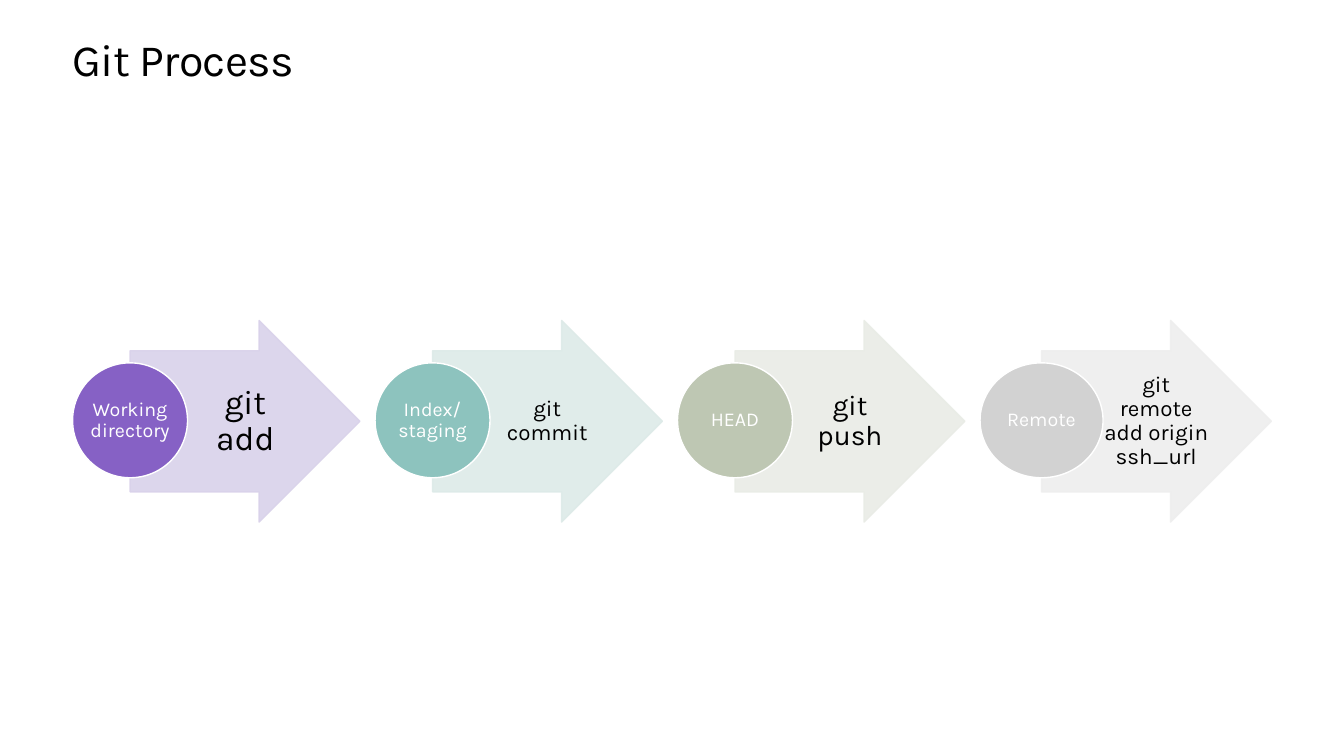
import pptx
import pptx.util
import pptx.dml.color
import pptx.enum.shapes
import pptx.enum.text
import pptx.oxml.ns
from lxml import etree

Inches = pptx.util.Inches
Pt = pptx.util.Pt
RGBColor = pptx.dml.color.RGBColor
SHAPE = pptx.enum.shapes.MSO_SHAPE
ALIGN = pptx.enum.text.PP_ALIGN
ANCHOR = pptx.enum.text.MSO_ANCHOR
qn = pptx.oxml.ns.qn

FONT = "Karla"
BLACK = RGBColor(0x00, 0x00, 0x00)
WHITE = RGBColor(0xFF, 0xFF, 0xFF)
PURPLE = RGBColor(0x86, 0x61, 0xC5)
LILAC = RGBColor(0xD9, 0xD2, 0xEA)
TEAL = RGBColor(0x8D, 0xC3, 0xBE)
PALE_TEAL = RGBColor(0xDD, 0xEA, 0xE8)
SAGE = RGBColor(0xBE, 0xC7, 0xB3)
PALE_SAGE = RGBColor(0xE9, 0xEC, 0xE6)
GREY = RGBColor(0xD2, 0xD2, 0xD2)
PALE_GREY = RGBColor(0xEE, 0xEE, 0xEE)

STAGES = [
    ("Working directory", PURPLE, "git add", 24, LILAC, 1.14),
    ("Index/ staging", TEAL, "git commit", 16, PALE_TEAL, 1.14),
    ("HEAD", SAGE, "git push", 20, PALE_SAGE, 1.14),
    ("Remote", GREY, "git remote add origin ssh_url", 16, PALE_GREY, 1.22),
]
STAGE_PITCH = 3
ARROW_WIDTH, ARROW_HEIGHT, SHAFT_RATIO = 2.28, 2, 0.7
CIRCLE_HEIGHT = 1.14


def add_run(paragraph, text, size, color):
    """Append a formatted run and return it."""
    run = paragraph.add_run()
    run.text = text
    run.font.name = FONT
    run.font.size = Pt(size)
    run.font.color.rgb = color
    return run


def add_title(slide, text, left, top, width, height):
    """Place the slide title in its placeholder."""
    title = slide.shapes.title
    title.left, title.top = Inches(left), Inches(top)
    title.width, title.height = Inches(width), Inches(height)
    frame = title.text_frame
    frame.margin_left = frame.margin_right = 0
    frame.margin_top = frame.margin_bottom = 0
    frame.vertical_anchor = ANCHOR.TOP
    frame.word_wrap = True
    frame.auto_size = pptx.enum.text.MSO_AUTO_SIZE.SHAPE_TO_FIT_TEXT
    paragraph = frame.paragraphs[0]
    paragraph.alignment = ALIGN.LEFT
    paragraph.line_spacing = Pt(36.2)
    run = add_run(paragraph, text, 32, BLACK)
    run.font._element.set("spc", "-50")


def add_filled(slide, preset, left, top, width, height, fill, line):
    """Draw a preset shape with a solid fill and a one-point outline."""
    shape = slide.shapes.add_shape(
        preset, Inches(left), Inches(top), Inches(width), Inches(height))
    shape.shadow.inherit = False
    shape.fill.solid()
    shape.fill.fore_color.rgb = fill
    shape.line.color.rgb = line
    shape.line.width = Pt(1)
    return shape


def add_label(slide, text, size, color, left, top, width, height, margins):
    """Write centred text in a box with the given left and right margins."""
    label = slide.shapes.add_textbox(
        Inches(left), Inches(top), Inches(width), Inches(height))
    frame = label.text_frame
    frame.word_wrap = True
    frame.vertical_anchor = ANCHOR.MIDDLE
    frame.margin_left, frame.margin_right = map(Inches, margins)
    frame.margin_top = frame.margin_bottom = Inches(0.01)
    paragraph = frame.paragraphs[0]
    paragraph.alignment = ALIGN.CENTER
    paragraph.line_spacing = 0.9
    add_run(paragraph, text, size, color)


def add_stage(slide, stage, left, top):
    """Draw one stage: a command arrow starting at the centre of its circle."""
    place, circle_color, command, command_size, arrow_color, circle_width = stage
    arrow_left = left + circle_width / 2
    arrow = add_filled(slide, SHAPE.RIGHT_ARROW, arrow_left, top,
                       ARROW_WIDTH, ARROW_HEIGHT, arrow_color, arrow_color)
    arrow.adjustments[0] = SHAFT_RATIO
    arrow.adjustments[1] = 0.5
    for color in arrow._element.spPr.iter(qn("a:srgbClr")):
        etree.SubElement(color, qn("a:alpha"), val="90000")

    shaft_height = ARROW_HEIGHT * SHAFT_RATIO
    add_label(slide, command, command_size, BLACK,
              arrow_left + ARROW_WIDTH / 4, top + (ARROW_HEIGHT - shaft_height) / 2,
              1.11, shaft_height, (command_size * 0.003, command_size * 0.0015))

    circle_top = top + (ARROW_HEIGHT - CIRCLE_HEIGHT) / 2 - 0.01
    add_filled(slide, SHAPE.OVAL, left, circle_top,
               circle_width, CIRCLE_HEIGHT, circle_color, WHITE)
    inner_width, inner_height = circle_width * 0.71, CIRCLE_HEIGHT * 0.71
    add_label(slide, place, 14, WHITE,
              left + (circle_width - inner_width) / 2,
              circle_top + (CIRCLE_HEIGHT - inner_height) / 2,
              inner_width, inner_height, (0.01, 0.01))


def add_process(slide, left, top):
    """Lay the stages out in a row at an equal pitch."""
    for index, stage in enumerate(STAGES):
        add_stage(slide, stage, left + index * STAGE_PITCH, top)


def main():
    """Build and save the presentation."""
    deck = pptx.Presentation()
    deck.slide_width, deck.slide_height = Inches(13.33), Inches(7.5)
    slide = deck.slides.add_slide(deck.slide_layouts[5])
    add_title(slide, "Git Process", 0.72, 0.35, 11.9, 0.5)
    add_process(slide, 0.72, 3.18)
    deck.save("out.pptx")


if __name__ == "__main__":
    main()
